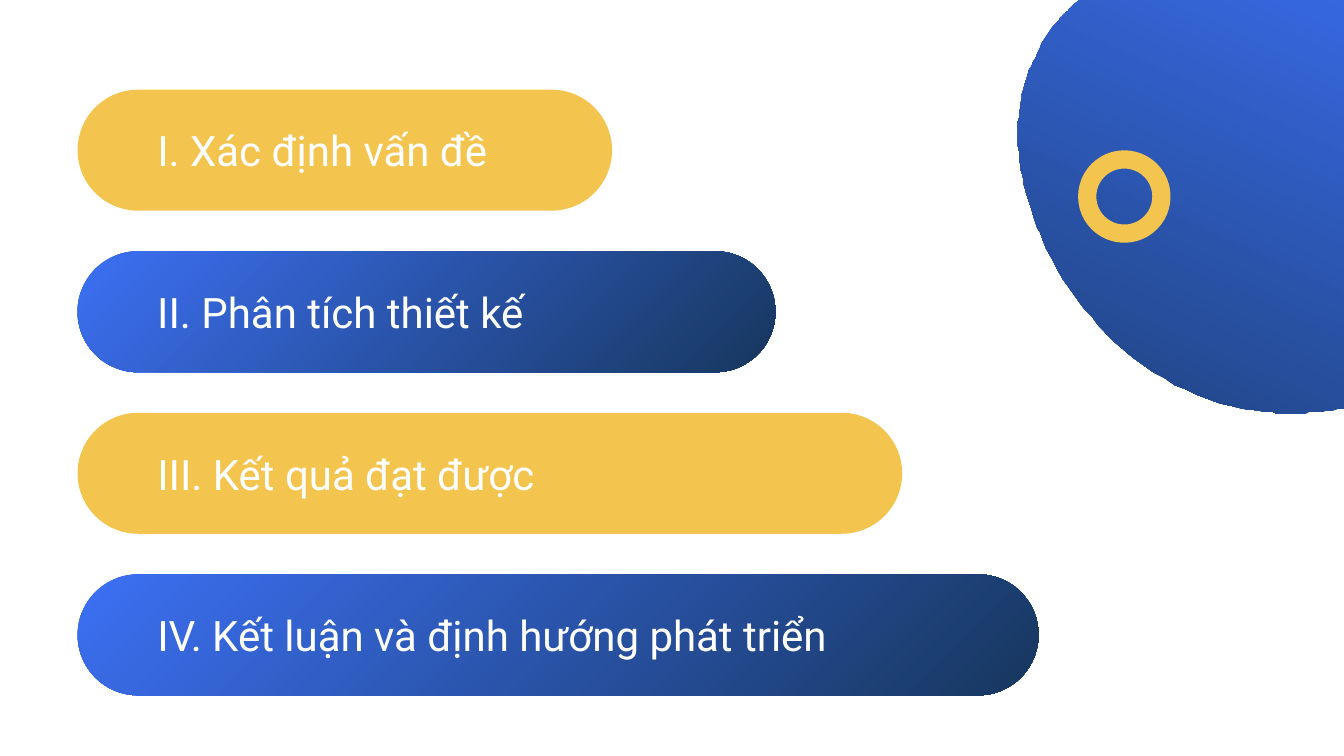
from pptx import Presentation
from pptx.dml.color import RGBColor
from pptx.enum.shapes import MSO_SHAPE
from pptx.enum.text import MSO_ANCHOR, PP_ALIGN
from pptx.util import Pt

GOLD, WHITE = "F3C54F", "FFFFFF"
BLUES = ("3C70F4", "17375E", 45)
BLOB_BLUES = ("3767DF", "1F4480", 114.5)


def color(hex_value):
    return RGBColor.from_string(hex_value)


def apply(target, values):
    for name, value in values.items():
        setattr(target, name, value)


def curve(start, first, second, end, steps=24):
    """Points along a cubic curve, without its start."""
    for step in range(1, steps + 1):
        t = step / steps
        u = 1 - t
        weights = (u ** 3, 3 * u * u * t, 3 * u * t * t, t ** 3)
        yield tuple(sum(weight * point[axis] for weight, point
                        in zip(weights, (start, first, second, end)))
                    for axis in (0, 1))


class SlideBuilder:
    font = {"name": "Roboto", "size": Pt(30)}
    frame = {"vertical_anchor": MSO_ANCHOR.MIDDLE, "word_wrap": True,
             "margin_left": Pt(44.3)}

    def __init__(self, slide):
        self.shapes = slide.shapes

    def paint(self, shape, fill):
        shape.shadow.inherit = False
        shape.line.fill.background()
        if isinstance(fill, str):
            shape.fill.solid()
            shape.fill.fore_color.rgb = color(fill)
            return
        *stops, clockwise = fill
        shape.fill.gradient()
        shape.fill.gradient_angle = 360 - clockwise
        for stop, hex_value in zip(shape.fill.gradient_stops, stops):
            stop.color.rgb = color(hex_value)

    def pill(self, left, top, width, height, text, fill):
        shape = self.shapes.add_shape(MSO_SHAPE.ROUNDED_RECTANGLE, Pt(left),
                                      Pt(top), Pt(width), Pt(height))
        shape.adjustments[0] = 0.5
        self.paint(shape, fill)
        apply(shape.text_frame, self.frame)
        para = shape.text_frame.paragraphs[0]
        para.alignment = PP_ALIGN.LEFT
        span = para.add_run()
        span.text = text
        apply(span.font, self.font)
        span.font.color.rgb = color(WHITE)

    def ring(self, left, top, size, weight, hex_value):
        shape = self.shapes.add_shape(MSO_SHAPE.OVAL, Pt(left), Pt(top),
                                      Pt(size), Pt(size))
        shape.shadow.inherit = False
        shape.fill.background()
        shape.line.color.rgb = color(hex_value)
        shape.line.width = Pt(weight)

    def outline(self, points, fill):
        builder = self.shapes.build_freeform(*points[0], scale=Pt(1))
        builder.add_line_segments(points[1:], close=True)
        self.paint(builder.convert_to_shape(), fill)


deck = Presentation()
deck.slide_width, deck.slide_height = Pt(960), Pt(540)
page = SlideBuilder(deck.slides.add_slide(deck.slide_layouts[6]))

# Corner blob and ring
blob = [(771, 0), (960, 0), (960, 291.6), (954.7, 292.3)]
for bend in (((935.3, 295.2), (915.8, 295.9), (897.1, 293)),
             ((825.8, 283.7), (770.4, 230.4), (743.8, 169.2)),
             ((733.7, 144.7), (726.5, 118.1), (727.2, 90.7)),
             ((728.6, 63.4), (738, 36), (756.7, 13.7)),
             ((759.6, 10.1), (763.2, 7.2), (766.1, 4.3))):
    blob.extend(curve(blob[-1], *bend))
page.outline(blob, BLOB_BLUES)
page.ring(776.6, 113.9, 53, 13, GOLD)

# Agenda pills
agenda = [("I. Xác định vấn đề", 381.8), ("II. Phân tích thiết kế", 498.5),
          ("III. Kết quả đạt được", 589), ("IV. Kết luận và định hướng phát triển", 686.4)]
for index, (text, width) in enumerate(agenda):
    page.pill(55.4, 64.1 + index * 115.4, width, 86.4, text,
              BLUES if index % 2 else GOLD)

deck.save("out.pptx")
